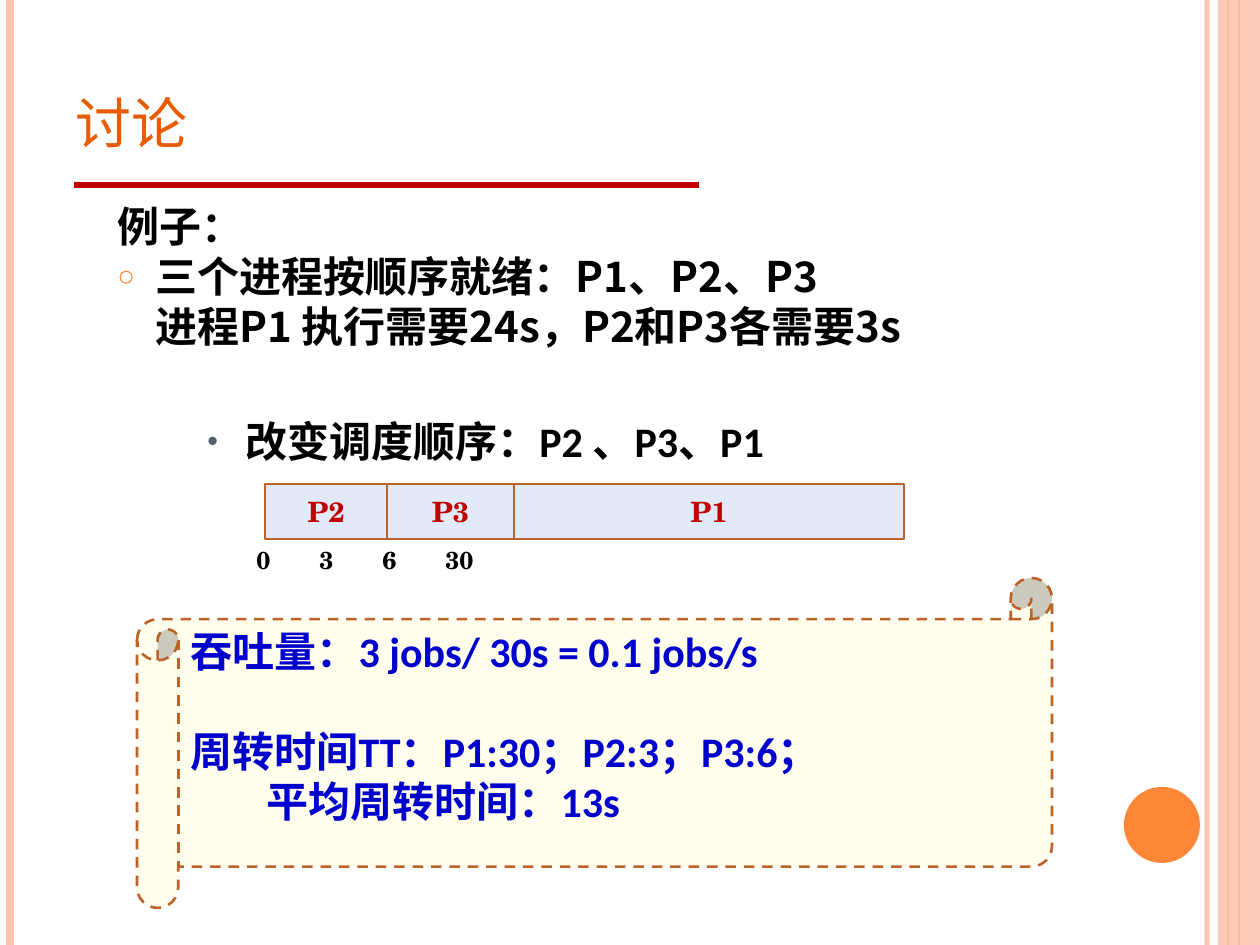
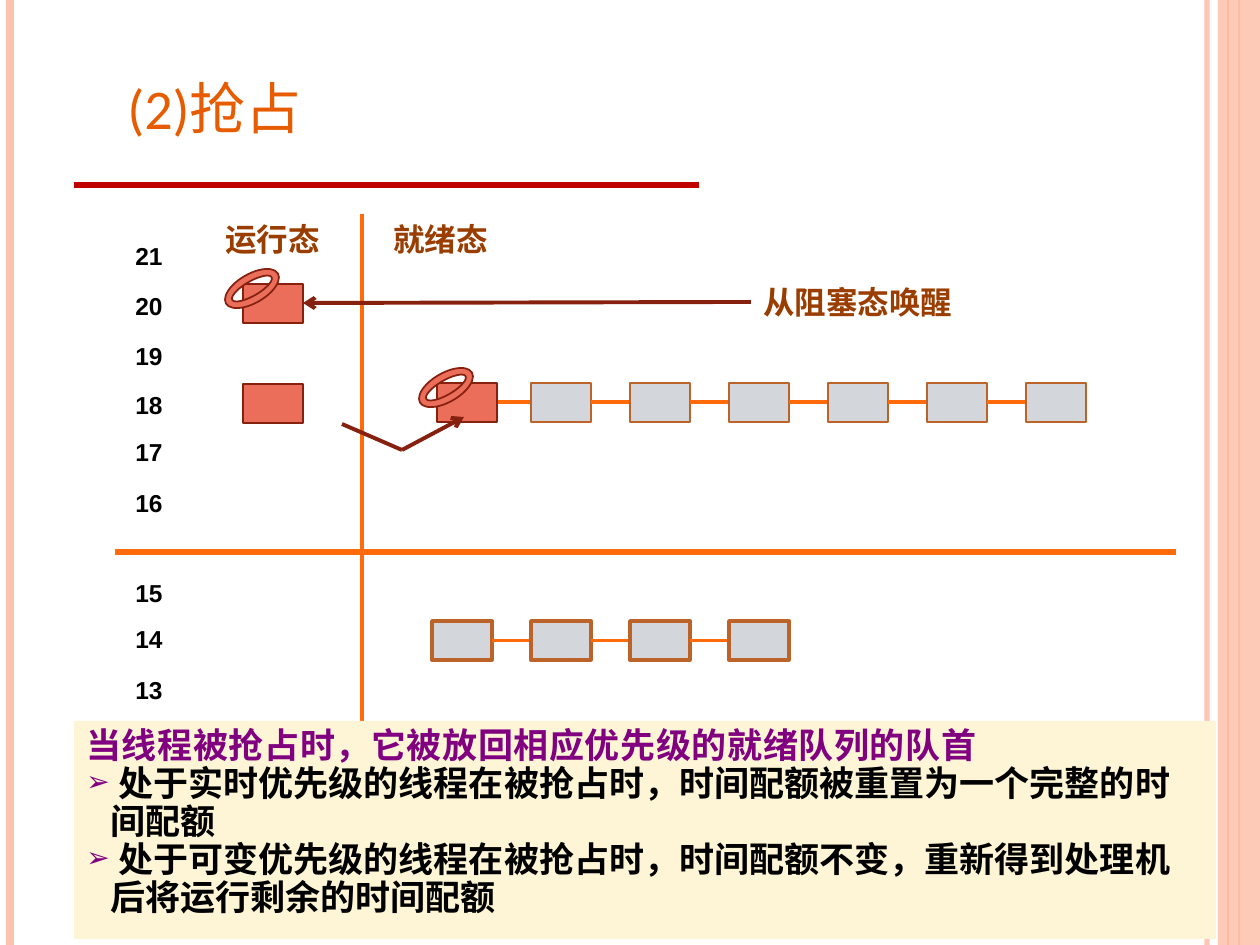
from dataclasses import dataclass

from lxml.etree import SubElement
from pptx import Presentation
from pptx.dml.color import RGBColor
from pptx.enum.dml import MSO_LINE
from pptx.enum.shapes import MSO_CONNECTOR, MSO_SHAPE
from pptx.enum.text import MSO_ANCHOR, PP_ALIGN
from pptx.oxml.ns import qn
from pptx.util import Emu, Pt


@dataclass(frozen=True)
class Theme:
    sans: str = "Calibri"
    cjk: str = "Noto Sans CJK SC"
    serif: str = "TeX Gyre Schola"
    digits: str = "Arial"
    black: str = "000000"
    title: str = "E75C01"
    rule: str = "C00000"
    band: str = "FEC3AE"
    orange: str = "FE8637"
    bullet_grey: str = "575F6D"
    axis: str = "FF6B0A"
    brown: str = "BC6329"
    label: str = "9A3D01"
    bar: str = "E3EAF7"
    scroll: str = "FFFDEB"
    result: str = "0000CC"
    waiting: str = "D3D7DC"
    active: str = "EB6E5A"
    active_edge: str = "862110"
    note: str = "FDF5D5"
    purple: str = "800080"
    title_size: int = 40
    body_size: int = 24
    note_size: int = 20
    label_size: int = 18
    bar_size: int = 16
    tick_size: int = 14


T = Theme()
PAGE_W, PAGE_H = 1260, 945

BAND_LINES = [
    (1207, T.band, 3, 93),
    (10, T.band, 4.5, None),
    (1239, T.orange, 1.5, None),
    (1228, T.orange, 0.75, None),
]

EXAMPLE = [
    dict(text="例子："),
    dict(text="三个进程按顺序就绪：P1、P2、P3", margin=38, indent=-38, bullet=("○", T.orange, 70)),
    dict(text="进程P1 执行需要24s，P2和P3各需要3s", indent=38),
]
NEW_ORDER = [
    dict(text="改变调度顺序：P2 、P3、P1", margin=38, indent=-38, bullet=("•", T.bullet_grey, 73)),
]
GANTT = [("P2", 265, 387), ("P3", 387, 514), ("P1", 514, 904)]
TICKS = ["0", "3", "6", "30"]
TICK_STOPS = [126, 252, 639]
RESULTS = [
    dict(text="吞吐量：3 jobs/ 30s = 0.1 jobs/s"),
    dict(text="周转时间TT：P1:30；P2:3；P3:6；", before=28.6),
    dict(text="平均周转时间：13s", indent=76),
]

PRIORITIES = [
    ("21", 234), ("20", 284), ("19", 334), ("18", 383), ("17", 430),
    ("16", 481), ("15", 571), ("14", 617), ("13", 668),
]
STATES = [("就绪态", 381, 214, 121), ("运行态", 213, 214, 121), ("从阻塞态唤醒", 751, 277, 217)]
QUEUES = [(383, range(1, 7), 1), (621, range(4), 2)]
QUEUE_LEFT, QUEUE_STEP = 432, 99
THREAD_W, THREAD_H = 60, 39
RUNNING = (243, 384)
MARKED = [(243, 284), (437, 383)]
MOVES = [
    ((751, 302), (303, 303), True),
    ((342, 424), (402, 450), False),
    ((402, 450), (464, 417), True),
]
POINT = dict(margin=24, indent=-24, bullet=("➢", T.purple, 80))
NOTE = [
    dict(text="当线程被抢占时，它被放回相应优先级的就绪队列的队首", color=T.purple, spacing=30),
    dict(text=" 处于实时优先级的线程在被抢占时，时间配额被重置为一个完整的时间配额", **POINT),
    dict(text=" 处于可变优先级的线程在被抢占时，时间配额不变，重新得到处理机后将运行剩余的时间配额", **POINT),
]


def px(n):
    return Emu(round(n * 914400 / 126))


def rgb(code):
    return RGBColor.from_string(code)


def set_alpha(fill_parent, percent):
    if percent:
        color = next(fill_parent.iter(qn("a:srgbClr")))
        SubElement(color, qn("a:alpha"), val=str(percent * 1000))


def add_line(slide, start, end, color, width, alpha=None, arrow=False):
    line = slide.shapes.add_connector(
        MSO_CONNECTOR.STRAIGHT, px(start[0]), px(start[1]), px(end[0]), px(end[1]))
    line.line.color.rgb = rgb(color)
    line.line.width = Pt(width)
    properties = line._element.spPr
    set_alpha(properties, alpha)
    if arrow:
        SubElement(line.line._get_or_add_ln(), qn("a:tailEnd"), type="arrow")
    SubElement(properties, qn("a:effectLst"))


def add_block(slide, kind, box, fill, edge=None, width=1.0):
    block = slide.shapes.add_shape(kind, *map(px, box))
    block.shadow.inherit = False
    block.fill.solid()
    block.fill.fore_color.rgb = rgb(fill)
    if edge:
        block.line.color.rgb = rgb(edge)
        block.line.width = Pt(width)
    else:
        block.line.fill.background()
    return block


def write(shape, lines, size, font, color=T.black, bold=True, leading=None, small=False,
          align=PP_ALIGN.LEFT, anchor=MSO_ANCHOR.TOP, wrap=True, tabs=()):
    frame = shape.text_frame
    frame.word_wrap = wrap
    frame.vertical_anchor = anchor
    for i, item in enumerate(lines):
        paragraph = frame.add_paragraph() if i else frame.paragraphs[0]
        paragraph.alignment = align
        if leading:
            paragraph.line_spacing = Pt(leading)
        if "before" in item:
            paragraph.space_before = Pt(item["before"])
        props = paragraph._p.get_or_add_pPr()
        props.set("marL", str(px(item.get("margin", 0))))
        props.set("indent", str(px(item.get("indent", 0))))
        if "bullet" in item:
            mark, mark_color, percent = item["bullet"]
            SubElement(SubElement(props, qn("a:buClr")), qn("a:srgbClr"), val=mark_color)
            SubElement(props, qn("a:buSzPct"), val=str(percent * 1000))
            SubElement(props, qn("a:buFont"), typeface=T.digits)
            SubElement(props, qn("a:buChar"), char=mark)
        if tabs:
            stops = SubElement(props, qn("a:tabLst"))
            for stop in tabs:
                SubElement(stops, qn("a:tab"), pos=str(px(stop)), algn="l")
        run = paragraph.add_run()
        run.text = item["text"]
        run.font.size = Pt(size)
        run.font.bold = bold
        run.font.name = font
        run.font.color.rgb = rgb(item.get("color", color))
        run_props = run._r.get_or_add_rPr()
        SubElement(run_props, qn("a:ea"), typeface=T.cjk)
        if small:
            run_props.set("cap", "small")
        if "spacing" in item:
            run_props.set("spc", str(item["spacing"]))


def add_text(slide, box, lines, size, font, **style):
    write(slide.shapes.add_textbox(*map(px, box)), lines, size, font, **style)


def add_page(deck, title, title_box, font):
    slide = deck.slides.add_slide(deck.slide_layouts[6])
    for x, color, width, alpha in BAND_LINES:
        add_line(slide, (x, 0), (x, PAGE_H), color, width, alpha)
    band = add_block(slide, MSO_SHAPE.RECTANGLE, (1218, 0, 42, PAGE_H), T.band)
    set_alpha(band._element.spPr, 87)
    add_line(slide, (74, 185), (699, 185), T.rule, 3)
    add_text(slide, title_box, [dict(text=title)], T.title_size, font, color=T.title,
             bold=False, small=True, anchor=MSO_ANCHOR.BOTTOM)
    return slide


def build_discussion(deck):
    slide = add_page(deck, "讨论", (63, 38, 1029, 127), T.cjk)
    add_block(slide, MSO_SHAPE.OVAL, (1124, 787, 76, 76), T.orange)
    add_text(slide, (105, 195, 864, 185), EXAMPLE, T.body_size, T.cjk, leading=28.6)
    for process, start, end in GANTT:
        bar = add_block(slide, MSO_SHAPE.RECTANGLE, (start, 484, end - start, 55),
                        T.bar, T.brown, 1.5)
        write(bar, [dict(text=process)], T.bar_size, T.serif, color=T.rule,
              align=PP_ALIGN.CENTER, anchor=MSO_ANCHOR.MIDDLE)
    add_text(slide, (195, 410, 864, 92), NEW_ORDER, T.body_size, T.sans, leading=28.6)
    add_text(slide, (244, 538, 694, 43), [dict(text="\t".join(TICKS))], T.tick_size, T.serif,
             anchor=MSO_ANCHOR.MIDDLE, tabs=TICK_STOPS)
    scroll = add_block(slide, MSO_SHAPE.HORIZONTAL_SCROLL, (137, 578, 915, 330),
                       T.scroll, T.brown, 1.5)
    scroll.line.dash_style = MSO_LINE.DASH
    write(scroll, RESULTS, T.body_size, T.sans, color=T.result, leading=28.6)


def add_thread(slide, x, y, fill, edge, width=1):
    add_block(slide, MSO_SHAPE.RECTANGLE, (x, y, THREAD_W, THREAD_H), fill, edge, width)


def build_preemption(deck):
    slide = add_page(deck, "(2)抢占", (115, 55, 874, 95), T.sans)
    for y, places, edge_width in QUEUES:
        middle = y + THREAD_H / 2
        for place in places:
            x = QUEUE_LEFT + place * QUEUE_STEP
            if place:
                add_line(slide, (x - QUEUE_STEP + THREAD_W, middle), (x, middle), T.axis, 2.25)
            add_thread(slide, x, y, T.waiting, T.brown, edge_width)
    add_line(slide, (115, 552), (1176, 552), T.axis, 3)
    add_line(slide, (362, 214), (362, 790), T.axis, 2.25)
    for state, x, y, width in STATES:
        add_text(slide, (x, y, width, 50), [dict(text=state)], T.label_size, T.serif,
                 color=T.label, anchor=MSO_ANCHOR.MIDDLE, wrap=False)
    for priority, y in PRIORITIES:
        add_text(slide, (123, y, 53, 43), [dict(text=priority)], T.tick_size, T.digits,
                 anchor=MSO_ANCHOR.MIDDLE, wrap=False)
    add_thread(slide, *RUNNING, T.active, T.active_edge)
    for x, y in MARKED:
        add_thread(slide, x, y, T.active, T.active_edge)
        ring = add_block(slide, MSO_SHAPE.DONUT, (x - 21, y - 10, 60, 29),
                         T.active, T.active_edge)
        ring.rotation = -30
    for start, end, arrow in MOVES:
        add_line(slide, start, end, T.active_edge, 2.25, arrow=arrow)
    note = add_block(slide, MSO_SHAPE.RECTANGLE, (74, 721, 1142, 218), T.note)
    write(note, NOTE, T.note_size, T.sans, leading=21.7)


def main():
    deck = Presentation()
    deck.slide_width, deck.slide_height = px(PAGE_W), px(PAGE_H)
    build_discussion(deck)
    build_preemption(deck)
    deck.save("out.pptx")


if __name__ == "__main__":
    main()
